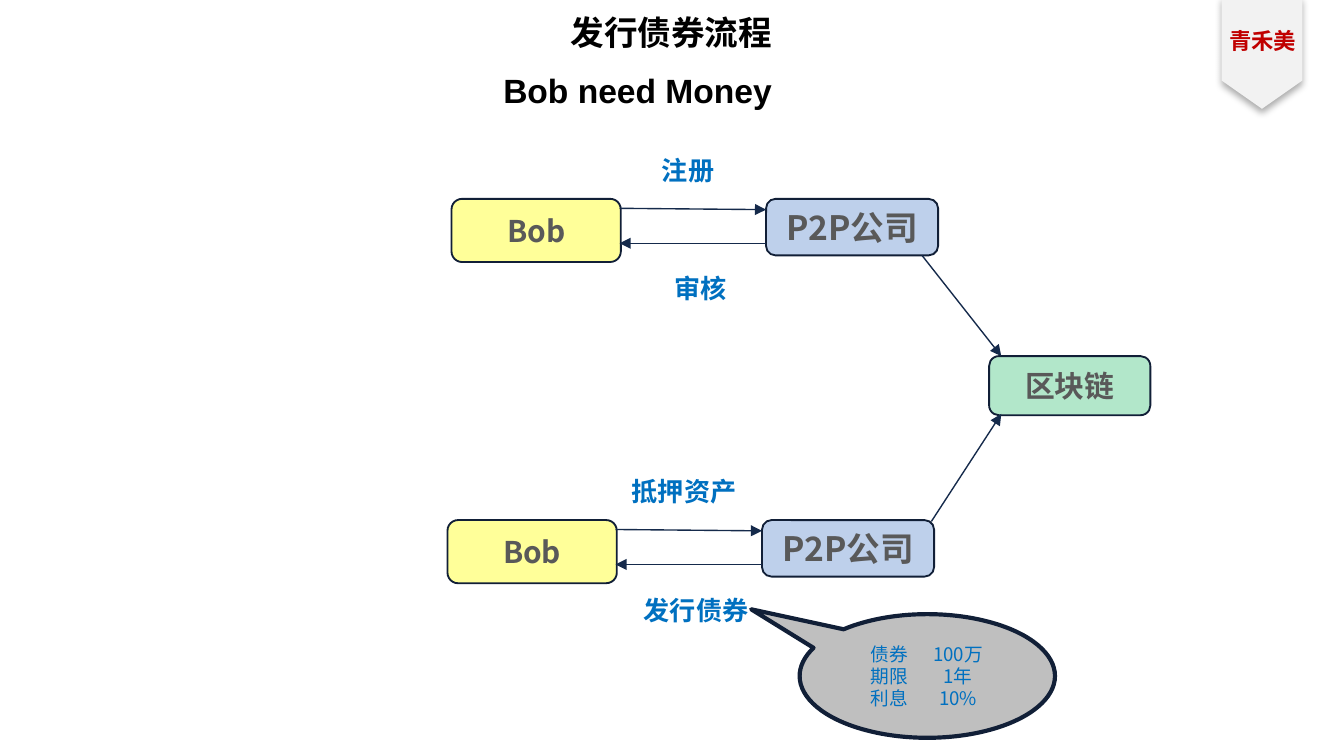
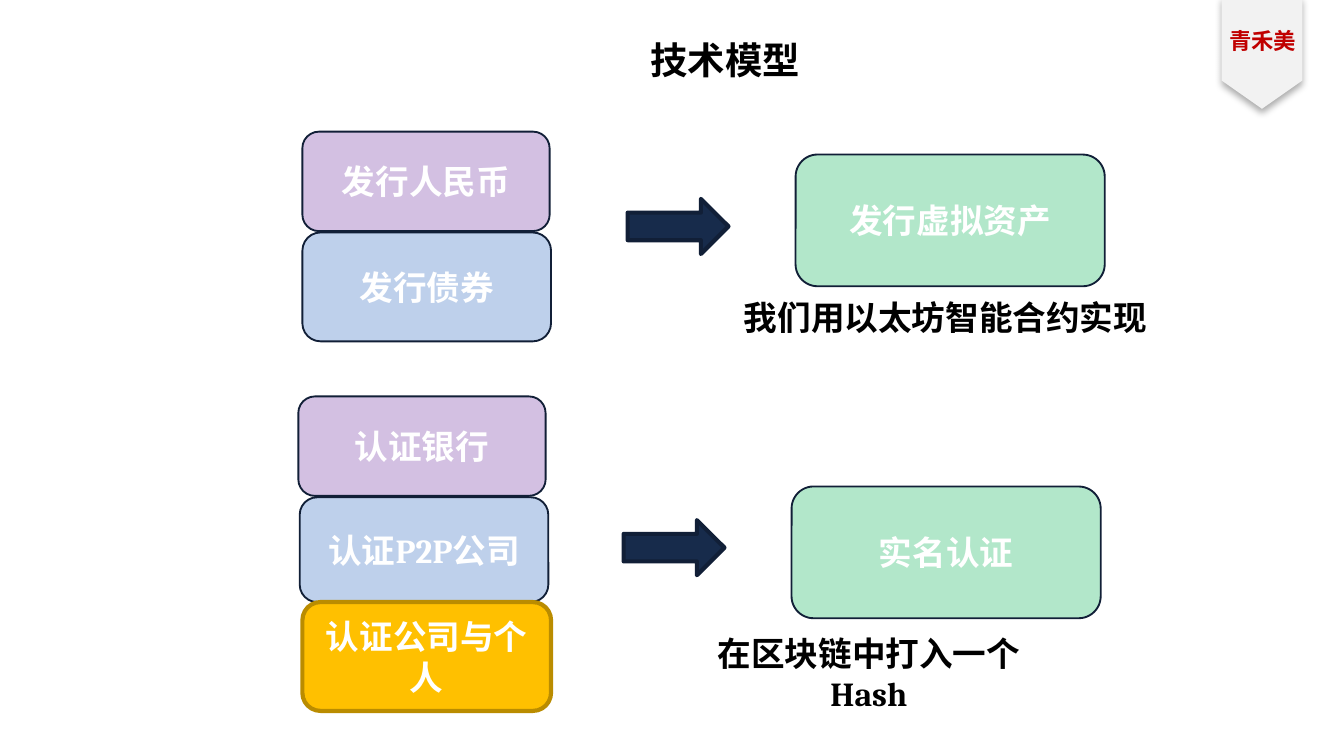
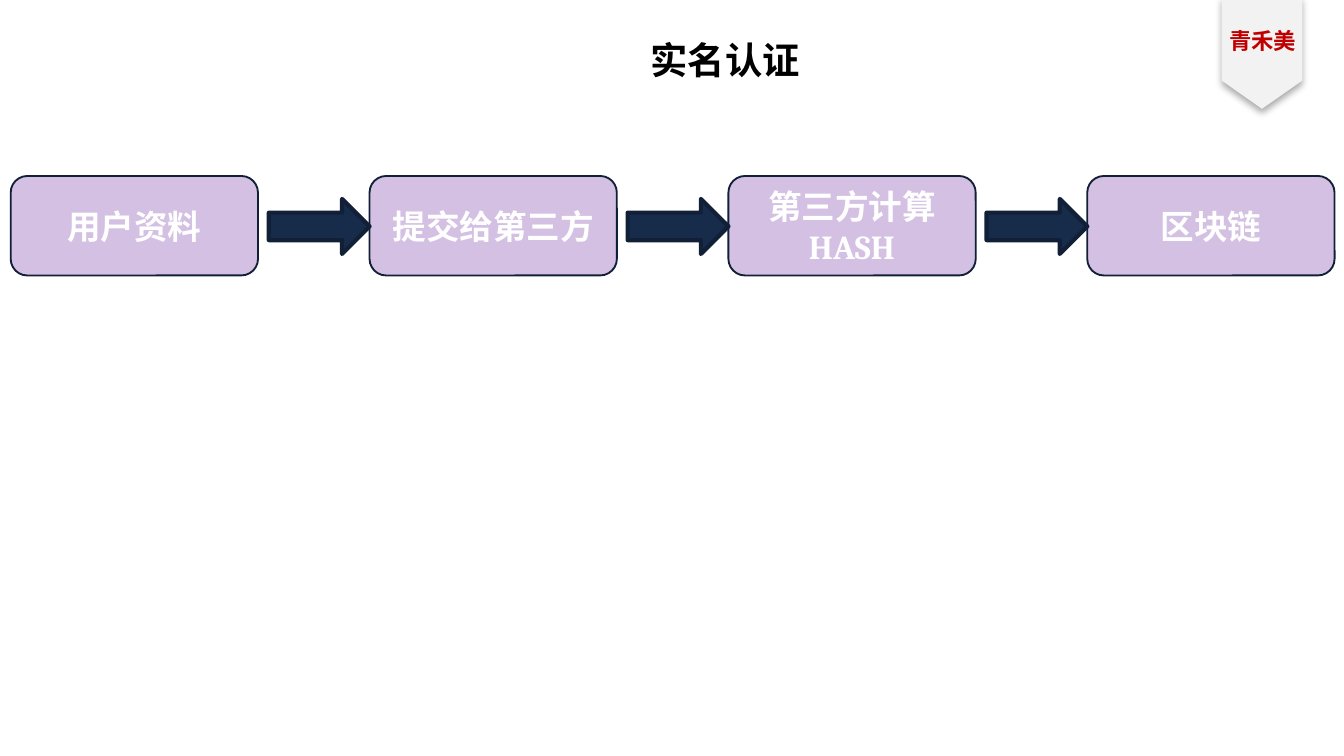
from lxml import etree
from pptx import Presentation
from pptx import util as u
from pptx.dml.color import RGBColor
from pptx.enum import shapes, text
from pptx.oxml import ns

PX = 9144  # EMU in one px, 100 px to the inch
INSET = 5
CJK, ARIAL, CAMBRIA = "Noto Sans CJK SC", "Arial", "Cambria"

BLACK = RGBColor(0x00, 0x00, 0x00)
WHITE = RGBColor(0xFF, 0xFF, 0xFF)
GRAY = RGBColor(0x59, 0x59, 0x59)
SILVER = RGBColor(0xBF, 0xBF, 0xBF)
PALE = RGBColor(0xF2, 0xF2, 0xF2)
RED = RGBColor(0xC0, 0x00, 0x00)
SKY = RGBColor(0x00, 0x70, 0xC0)
NAVY = RGBColor(0x17, 0x2B, 0x4B)
WIRE = RGBColor(0x15, 0x2A, 0x4B)
EDGE = RGBColor(0x11, 0x1F, 0x37)
AMBER = RGBColor(0xFF, 0xC0, 0x00)
AMBER_EDGE = RGBColor(0xBA, 0x8C, 0x00)
# Tints: colour and opacity in percent
BLUE_TINT = (RGBColor(0x70, 0x97, 0xD3), 45)
GREEN_TINT = (RGBColor(0x00, 0xB0, 0x50), 30)
YELLOW_TINT = (RGBColor(0xFF, 0xFF, 0x00), 40)
PURPLE_TINT = (RGBColor(0x70, 0x30, 0xA0), 30)


def px(*lengths):
    return [u.Emu(length * PX) for length in lengths]


def add_xml(parent, tag, **attributes):
    return etree.SubElement(parent, ns.qn(tag), attributes)


def write(shape, words, size, color, font=CJK, bold=True,
          align=text.PP_ALIGN.CENTER, left=INSET, right=INSET):
    frame = shape.text_frame
    frame.text = words
    frame.word_wrap = True
    frame.margin_left, frame.margin_right = px(left, right)
    frame.margin_top = frame.margin_bottom = INSET * PX
    for para in frame.paragraphs:
        para.alignment = align
        for span in para.runs:
            span.font.size = u.Pt(size)
            span.font.bold = bold
            span.font.name = font
            span.font.color.rgb = color
            add_xml(span.font._element, "a:ea", typeface=CJK)


def add_label(page, place, words, size, color, font=CJK, wrap=True, right=INSET):
    box = page.shapes.add_textbox(*px(*place))
    write(box, words, size, color, font, right=right)
    box.text_frame.word_wrap = wrap
    box.text_frame.auto_size = text.MSO_AUTO_SIZE.SHAPE_TO_FIT_TEXT


def paint(shape, color, opacity=100):
    shape.fill.solid()
    shape.fill.fore_color.rgb = color
    if opacity < 100:
        tone = shape.fill._xPr.find(ns.qn("a:solidFill"))[0]
        add_xml(tone, "a:alpha", val=str(opacity * 1000))


def add_preset(page, kind, place, fill, edge=EDGE, weight=2.25):
    shape = page.shapes.add_shape(kind, *px(*place))
    shape.shadow.inherit = False
    paint(shape, *fill)
    shape.line.color.rgb = edge
    shape.line.width = u.Pt(weight)
    return shape


def add_card(page, place, words, fill, size=18, color=WHITE, font=CAMBRIA,
             edge=EDGE, weight=1):
    card = add_preset(page, shapes.MSO_SHAPE.ROUNDED_RECTANGLE, place, fill,
                      edge, weight)
    write(card, words, size, color, font)
    card.text_frame.vertical_anchor = text.MSO_ANCHOR.MIDDLE


def add_block_arrow(page, left, top):
    add_preset(page, shapes.MSO_SHAPE.RIGHT_ARROW, (left, top, 75, 41), (NAVY,))


def add_wire(page, start, end):
    wire = page.shapes.add_connector(shapes.MSO_CONNECTOR.STRAIGHT,
                                     *px(*start, *end))
    wire.line.color.rgb = WIRE
    wire.line.width = u.Pt(0.75)
    add_xml(wire.line._get_or_add_ln(), "a:tailEnd", type="triangle")
    add_xml(wire._element.spPr, "a:effectLst")


def add_ribbon(page):
    outline = page.shapes.build_freeform(969, -2, scale=PX)
    outline.add_line_segments([(969, 60), (939, 81), (909, 60), (909, -2)])
    ribbon = outline.convert_to_shape()
    paint(ribbon, PALE)
    ribbon.line.fill.background()
    effects = add_xml(ribbon._element.spPr, "a:effectLst")
    shadow = add_xml(effects, "a:outerShdw", blurRad=str(u.Pt(4)),
                     dist=str(u.Pt(2.2)), dir="5400000", algn="t",
                     rotWithShape="0")
    tone = add_xml(shadow, "a:srgbClr", val=str(BLACK))
    add_xml(tone, "a:alpha", val="32000")
    add_label(page, (909, 15, 61, 34), "青禾美", 12, RED, wrap=False)


def add_page(deck, title=None):
    page = deck.slides.add_slide(deck.slide_layouts[6])
    if title:
        add_label(page, (300, 23, 479, 49), title, 20, BLACK)
    add_ribbon(page)
    return page


def add_exchange(page, left, top, request, reply):
    """Bob and the company, with an arrow each way."""
    add_card(page, (left, top, 126, 47), "Bob", YELLOW_TINT, 16, GRAY, CJK)
    add_card(page, (left + 234, top, 128, 42), "P2P公司", BLUE_TINT, 18, GRAY, CJK)
    add_wire(page, (left + 125, top + 7), (left + 234, top + 8))
    add_wire(page, (left + 234, top + 33), (left + 125, top + 33))
    add_label(page, (left + 125, top - 38, 102, 38), request, 14, SKY)
    add_label(page, (left + 134, top + 50, 102, 38), reply, 14, SKY)


def add_terms(page, place, rows):
    """Callout with the bond's terms in two columns."""
    callout = add_preset(page, shapes.MSO_SHAPE.OVAL_CALLOUT, place, (SILVER,))
    callout.adjustments[0], callout.adjustments[1] = -0.69, -0.54
    write(callout, "\n".join("\t".join(row) for row in rows), 10, SKY,
          bold=False, align=text.PP_ALIGN.LEFT, left=25)
    callout.text_frame.vertical_anchor = text.MSO_ANCHOR.MIDDLE
    for para in callout.text_frame.paragraphs:
        stops = add_xml(para._p.get_or_add_pPr(), "a:tabLst")
        add_xml(stops, "a:tab", pos=str(65 * PX), algn="ctr")


def build_bond_flow(deck):
    page = add_page(deck)
    add_label(page, (293, 4, 413, 45), "发行债券流程", 18, BLACK, ARIAL)
    add_label(page, (313, 47, 323, 38), "Bob need Money", 18, BLACK, ARIAL)
    add_exchange(page, 336, 148, "注册", "审核")
    add_exchange(page, 333, 387, "抵押资产", "发行债券")
    add_card(page, (736, 265, 120, 44), "区块链", GREEN_TINT, 16, GRAY, CJK)
    add_wire(page, (686, 190), (745, 265))
    add_wire(page, (693, 388), (745, 308))
    add_terms(page, (595, 457, 190, 92),
              [("债券", "100万"), ("期限", "1年"), ("利息", "10%")])


def build_model(deck):
    page = add_page(deck, "技术模型")
    # Issuing
    add_card(page, (225, 173, 185, 81), "发行债券", BLUE_TINT)
    add_card(page, (225, 98, 184, 74), "发行人民币", PURPLE_TINT)
    add_block_arrow(page, 467, 148)
    add_card(page, (592, 115, 230, 98), "发行虚拟资产", GREEN_TINT)
    add_label(page, (548, 216, 311, 45), "我们用以太坊智能合约实现", 18, BLACK,
              CAMBRIA, wrap=False)
    # Certifying
    add_card(page, (223, 370, 185, 78), "认证P2P公司", BLUE_TINT)
    add_card(page, (222, 295, 184, 74), "认证银行", PURPLE_TINT)
    add_card(page, (225, 448, 185, 81), "认证公司与个人", (AMBER,),
             edge=AMBER_EDGE, weight=2.25)
    add_block_arrow(page, 464, 387)
    add_card(page, (589, 362, 230, 98), "实名认证", GREEN_TINT)
    add_label(page, (526, 466, 292, 45), "在区块链中打入一个Hash", 18, BLACK,
              CAMBRIA, right=56)


def build_identity(deck):
    page = add_page(deck, "实名认证")
    steps = ["用户资料", "提交给第三方", "第三方计算HASH", "区块链"]
    pitch = 267
    for index, step in enumerate(steps):
        add_card(page, (8 + index * pitch, 131, 184, 74), step, PURPLE_TINT)
    for index in range(len(steps) - 1):
        add_block_arrow(page, 200 + index * pitch, 148)


def main():
    deck = Presentation()
    deck.slide_width = u.Emu(1000 * PX)
    deck.slide_height = u.Emu(deck.slide_width * 9 // 16)
    build_bond_flow(deck)
    build_model(deck)
    build_identity(deck)
    deck.save("out.pptx")


if __name__ == "__main__":
    main()
